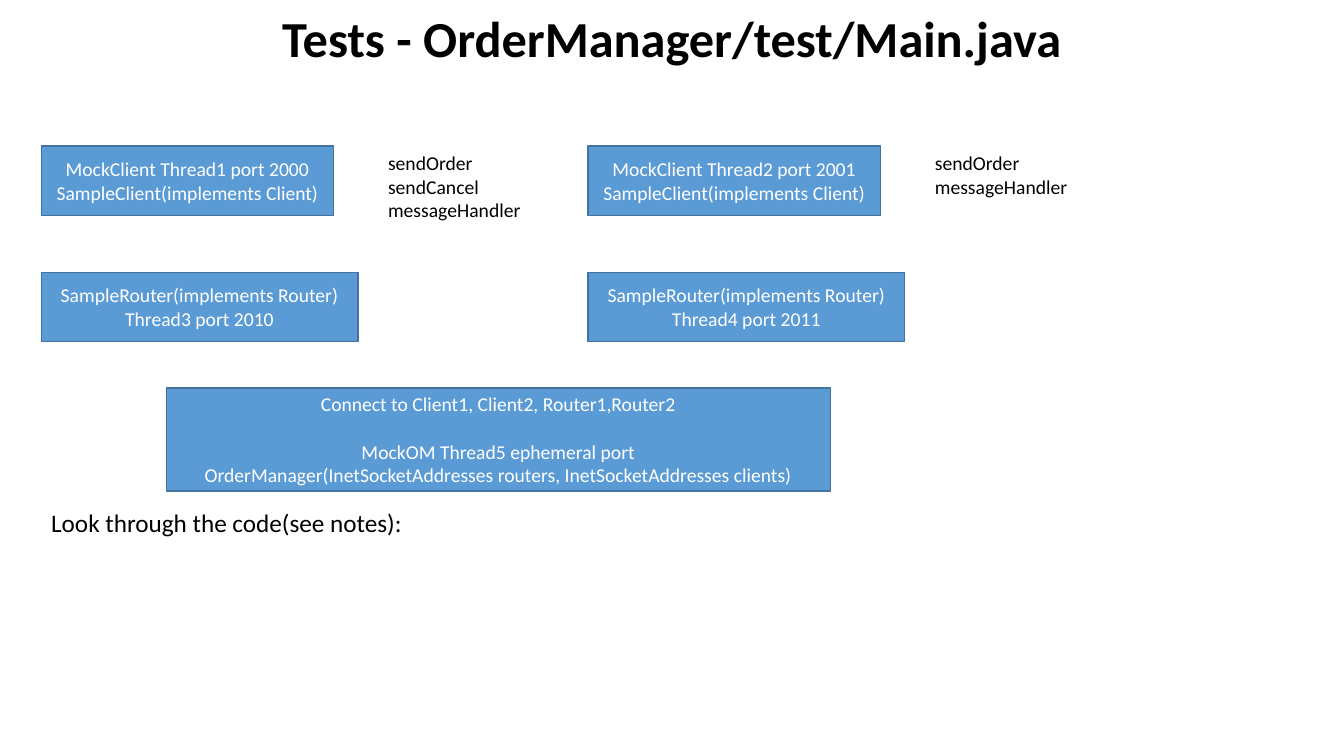
from dataclasses import dataclass

from pptx import Presentation
from pptx.dml.color import RGBColor
from pptx.enum.shapes import MSO_SHAPE
from pptx.enum.text import MSO_ANCHOR, MSO_AUTO_SIZE, PP_ALIGN
from pptx.slide import Slide
from pptx.text.text import TextFrame
from pptx.util import Cm, Pt


@dataclass(frozen=True)
class Theme:
    font: str = "Calibri"
    text: RGBColor = RGBColor(0x00, 0x00, 0x00)
    box_text: RGBColor = RGBColor(0xFF, 0xFF, 0xFF)
    box_fill: RGBColor = RGBColor(0x5B, 0x9B, 0xD5)
    box_line: RGBColor = RGBColor(0x43, 0x73, 0x9E)
    title_size: float = 36
    note_size: float = 18
    body_size: float = 14


@dataclass(frozen=True)
class Block:
    """Lines of text in an area measured in centimetres."""
    lines: tuple[str, ...]
    left: float
    top: float
    width: float
    height: float


@dataclass(frozen=True)
class TestColumn:
    client_thread: int
    client_port: int
    methods: tuple[str, ...]
    router_thread: int
    router_port: int


THEME = Theme()
SLIDE_WIDTH, SLIDE_HEIGHT = 33.87, 19.05
LEFT_MARGIN, COLUMN_PITCH = 1.04, 13.78
CLIENT_TOP, ROUTER_TOP, MANAGER_TOP, NOTE_TOP = 3.68, 6.86, 9.78, 12.65
BOX_HEIGHT = 1.75
METHODS_OFFSET = 8.49
BLANK_LINE = 17

COLUMNS = (
    TestColumn(1, 2000, ("sendOrder", "sendCancel", "messageHandler"), 3, 2010),
    TestColumn(2, 2001, ("sendOrder", "messageHandler"), 4, 2011),
)
MANAGER = Block(
    ("Connect to Client1, Client2, Router1,Router2",
     "MockOM Thread5 ephemeral port",
     "OrderManager(InetSocketAddresses routers, InetSocketAddresses clients)"),
    4.19, MANAGER_TOP, 16.74, 2.59)
NOTE = Block(("Look through the code(see notes):",), LEFT_MARGIN, NOTE_TOP, 22.81, 1.03)


def write_text(frame: TextFrame, lines: tuple[str, ...], *, size: float,
               color: RGBColor = THEME.text, bold: bool = False,
               align: PP_ALIGN = PP_ALIGN.LEFT,
               anchor: MSO_ANCHOR = MSO_ANCHOR.TOP) -> None:
    frame.word_wrap = True
    frame.vertical_anchor = anchor
    for index, line in enumerate(lines):
        paragraph = frame.add_paragraph() if index else frame.paragraphs[0]
        paragraph.alignment = align
        run = paragraph.add_run()
        run.text = line
        run.font.name = THEME.font
        run.font.size = Pt(size)
        run.font.bold = bold
        run.font.color.rgb = color


def add_title(slide: Slide, text: str) -> None:
    title = slide.shapes.title
    title.left, title.top = Cm(0), Cm(0)
    title.width, title.height = Cm(SLIDE_WIDTH), Cm(2.1)
    write_text(title.text_frame, (text,), size=THEME.title_size, bold=True,
               align=PP_ALIGN.CENTER, anchor=MSO_ANCHOR.MIDDLE)
    title.text_frame.auto_size = MSO_AUTO_SIZE.NONE
    title.text_frame.paragraphs[0].line_spacing = 0.9


def add_box(slide: Slide, block: Block) -> TextFrame:
    shape = slide.shapes.add_shape(MSO_SHAPE.RECTANGLE, Cm(block.left), Cm(block.top),
                                   Cm(block.width), Cm(block.height))
    shape.shadow.inherit = False
    shape.fill.solid()
    shape.fill.fore_color.rgb = THEME.box_fill
    shape.line.color.rgb = THEME.box_line
    shape.line.width = Pt(1)
    write_text(shape.text_frame, block.lines, size=THEME.body_size, color=THEME.box_text,
               align=PP_ALIGN.CENTER, anchor=MSO_ANCHOR.MIDDLE)
    return shape.text_frame


def add_label(slide: Slide, block: Block, size: float) -> None:
    label = slide.shapes.add_textbox(Cm(block.left), Cm(block.top),
                                     Cm(block.width), Cm(block.height))
    write_text(label.text_frame, block.lines, size=size)
    label.text_frame.auto_size = MSO_AUTO_SIZE.SHAPE_TO_FIT_TEXT


def add_column(slide: Slide, column: TestColumn, left: float) -> None:
    client_lines = (f"MockClient Thread{column.client_thread} port {column.client_port}",
                    "SampleClient(implements Client)")
    router_lines = ("SampleRouter(implements Router) "
                    f"Thread{column.router_thread} port {column.router_port}",)
    methods_height = 0.25 + 0.6 * len(column.methods)
    add_box(slide, Block(client_lines, left, CLIENT_TOP, 7.37, BOX_HEIGHT))
    add_label(slide, Block(column.methods, left + METHODS_OFFSET, CLIENT_TOP,
                           4.1, methods_height), THEME.body_size)
    add_box(slide, Block(router_lines, left, ROUTER_TOP, 7.98, BOX_HEIGHT))


def main() -> None:
    presentation = Presentation()
    presentation.slide_width = Cm(SLIDE_WIDTH)
    presentation.slide_height = Cm(SLIDE_HEIGHT)
    title_only = presentation.slide_layouts[5]
    slide = presentation.slides.add_slide(title_only)

    add_title(slide, "Tests - OrderManager/test/Main.java")
    for index, column in enumerate(COLUMNS):
        add_column(slide, column, LEFT_MARGIN + index * COLUMN_PITCH)
    manager_text = add_box(slide, MANAGER)
    manager_text.paragraphs[0].space_after = Pt(BLANK_LINE)
    add_label(slide, NOTE, THEME.note_size)

    presentation.save("out.pptx")


if __name__ == "__main__":
    main()
